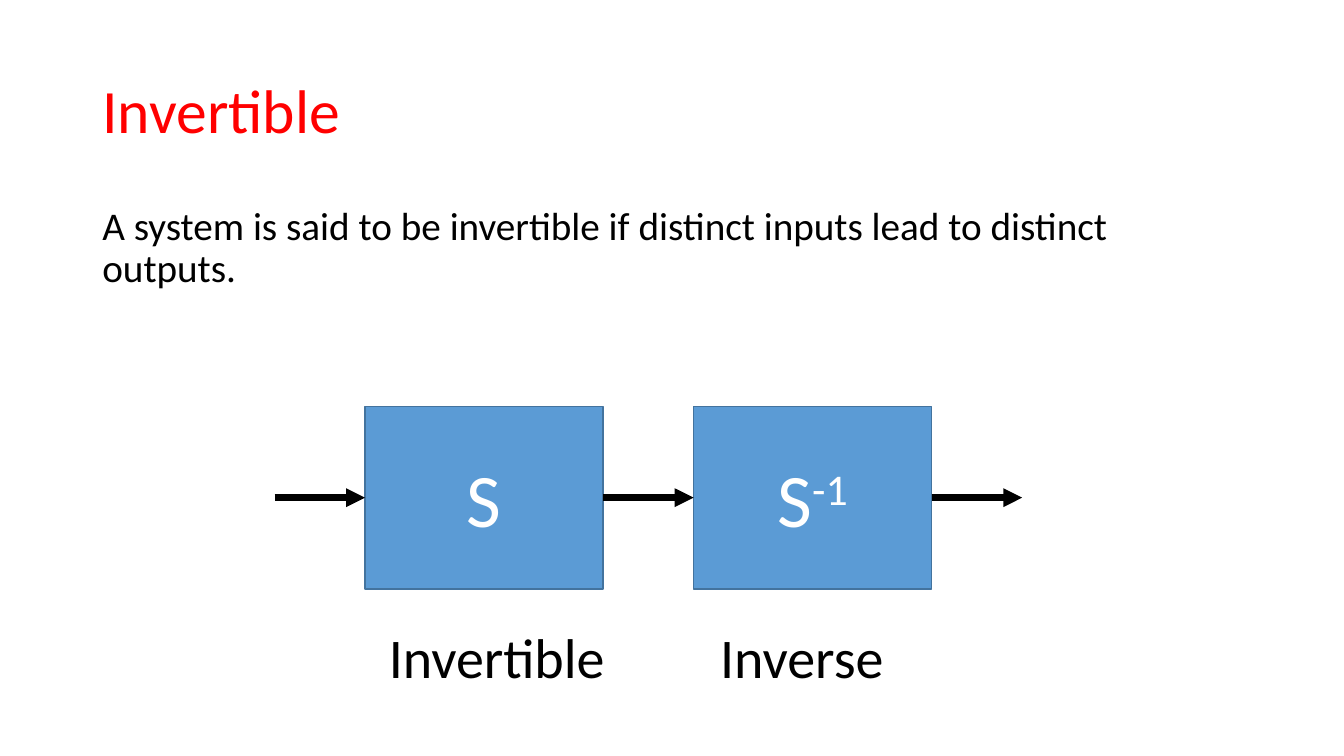
from dataclasses import dataclass

from lxml import etree
from pptx import Presentation
from pptx.dml.color import RGBColor
from pptx.enum.shapes import MSO_CONNECTOR, MSO_SHAPE
from pptx.enum.text import MSO_ANCHOR, PP_ALIGN
from pptx.oxml.ns import qn
from pptx.util import Cm, Pt

RECTANGLE = MSO_SHAPE.RECTANGLE
STRAIGHT = MSO_CONNECTOR.STRAIGHT
TOP, MIDDLE = MSO_ANCHOR.TOP, MSO_ANCHOR.MIDDLE
CENTER = PP_ALIGN.CENTER


@dataclass(frozen=True)
class Theme:
    font: str = "Calibri"
    red: RGBColor = RGBColor(0xFF, 0x00, 0x00)
    black: RGBColor = RGBColor(0x00, 0x00, 0x00)
    white: RGBColor = RGBColor(0xFF, 0xFF, 0xFF)
    block_fill: RGBColor = RGBColor(0x5B, 0x9B, 0xD5)
    block_line: RGBColor = RGBColor(0x43, 0x73, 0x9E)
    title_size: int = 44
    body_size: int = 28
    block_size: int = 54
    label_size: int = 40


class SlideBuilder:
    def __init__(self, page, theme):
        self.page = page
        self.theme = theme

    def style(self, span, size, color):
        span.font.name = self.theme.font
        span.font.size = Pt(size)
        span.font.color.rgb = color

    def text(self, left, top, width, height, words, size, color,
             anchor=TOP, spacing=1.0, tab=None):
        box = self.page.shapes.add_textbox(Cm(left), Cm(top), Cm(width), Cm(height))
        frame = box.text_frame
        frame.word_wrap = True
        frame.vertical_anchor = anchor
        frame.text = words
        para = frame.paragraphs[0]
        para.line_spacing = spacing
        if tab is not None:
            stops = etree.SubElement(para._p.get_or_add_pPr(), qn("a:tabLst"))
            etree.SubElement(stops, qn("a:tab"), pos=str(Cm(tab)), algn="l")
        for span in para.runs:
            self.style(span, size, color)

    def block(self, left, top, width, height, symbol, exponent):
        theme = self.theme
        box = self.page.shapes.add_shape(
            RECTANGLE, Cm(left), Cm(top), Cm(width), Cm(height))
        box.shadow.inherit = False
        box.fill.solid()
        box.fill.fore_color.rgb = theme.block_fill
        box.line.color.rgb = theme.block_line
        box.line.width = Pt(1)
        box.text_frame.vertical_anchor = MIDDLE
        box.text_frame.text = symbol
        para = box.text_frame.paragraphs[0]
        para.alignment = CENTER
        if exponent:
            raised = para.add_run()
            raised.text = exponent
            raised._r.get_or_add_rPr().set("baseline", "30000")
        for span in para.runs:
            self.style(span, theme.block_size, theme.white)

    def arrow(self, start, end, y):
        arrow = self.page.shapes.add_connector(
            STRAIGHT, Cm(start), Cm(y), Cm(end), Cm(y))
        arrow.line.color.rgb = self.theme.black
        arrow.line.width = Pt(4.5)
        etree.SubElement(arrow.line._get_or_add_ln(), qn("a:tailEnd"), type="triangle")
        etree.SubElement(arrow._element.spPr, qn("a:effectLst"))


def main():
    deck = Presentation()
    deck.slide_width, deck.slide_height = Cm(33.87), Cm(19.05)
    theme = Theme()
    slide = SlideBuilder(deck.slides.add_slide(deck.slide_layouts[6]), theme)

    # Title and definition
    slide.text(2.33, 1.02, 29.21, 3.68, "Invertible",
               theme.title_size, theme.red, anchor=MIDDLE, spacing=0.9)
    slide.text(2.33, 5.08, 29.21, 12.09,
               "A system is said to be invertible if distinct inputs "
               "lead to distinct outputs.",
               theme.body_size, theme.black, spacing=0.9)

    # System and its inverse in series
    left, top, width, height, gap = 9.2, 10.24, 6, 4.6, 2.28
    pitch = width + gap
    systems = [("S", ""), ("S", "-1")]
    for index, (symbol, exponent) in enumerate(systems):
        slide.block(left + index * pitch, top, width, height, symbol, exponent)

    # Signal arrows into, between and out of the blocks
    for index in range(len(systems) + 1):
        end = left + index * pitch
        slide.arrow(end - gap, end, top + height / 2)

    # Labels under the blocks
    slide.text(9.55, 15.57, 13.59, 1.96, "Invertible\tInverse",
               theme.label_size, theme.black, tab=8.35)

    deck.save("out.pptx")


if __name__ == "__main__":
    main()
